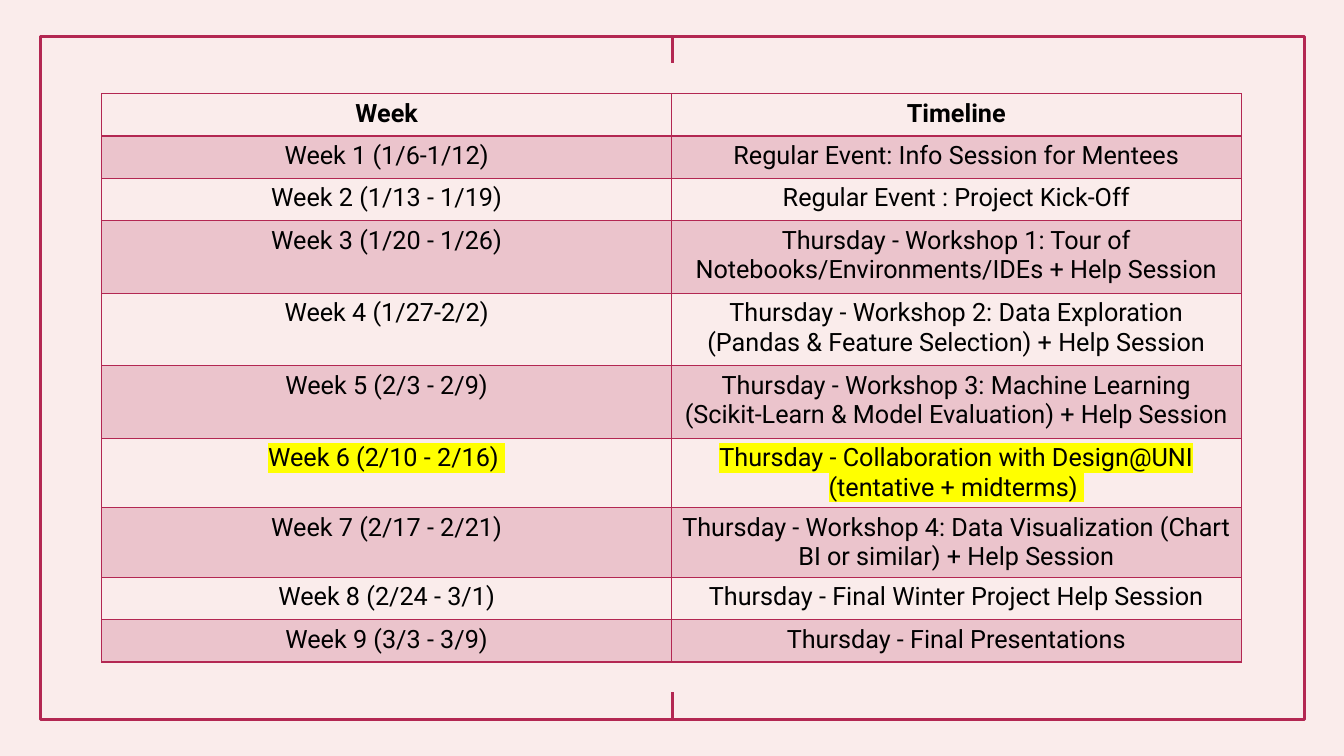
from lxml import etree
from pptx import Presentation
from pptx.dml.color import RGBColor
from pptx.enum import shapes, text
from pptx.oxml import ns
from pptx.util import Inches, Pt

COLORS = {"back": "FAECEB", "accent": "B32752", "text": "000000", "mark": "FFFF00"}
BAND_ALPHA = 20

HEADER = ("Week", "Timeline")
MARKED_ROW = 6
SCHEDULE = [
    # row height, week, event
    (0.42, "Week 1 (1/6-1/12)", "Regular Event: Info Session for Mentees"),
    (0.42, "Week 2 (1/13 - 1/19)", "Regular Event : Project Kick-Off"),
    (0.72, "Week 3 (1/20 - 1/26)",
     "Thursday - Workshop 1: Tour of Notebooks/Environments/IDEs + Help Session"),
    (0.72, "Week 4 (1/27-2/2)",
     "Thursday - Workshop 2: Data Exploration (Pandas & Feature Selection) + Help Session"),
    (0.72, "Week 5 (2/3 - 2/9)",
     "Thursday - Workshop 3: Machine Learning (Scikit-Learn & Model Evaluation) + Help Session"),
    (0.69, "Week 6 (2/10 - 2/16) ",
     "Thursday - Collaboration with Design@UNI (tentative + midterms) "),
    (0.69, "Week 7 (2/17 - 2/21)",
     "Thursday - Workshop 4: Data Visualization (Chart BI or similar) + Help Session"),
    (0.42, "Week 8 (2/24 - 3/1)", "Thursday - Final Winter Project Help Session"),
    (0.42, "Week 9 (3/3 - 3/9)", "Thursday - Final Presentations"),
]


def rgb(name):
    return RGBColor.from_string(COLORS[name])


def add_color(parent, name):
    """Append a solid srgbClr colour to an XML element."""
    fill = etree.SubElement(parent, ns.qn("a:solidFill"))
    etree.SubElement(fill, ns.qn("a:srgbClr"), val=COLORS[name])


def write(tf, words, size=18, font="Roboto", color="text", bold=False, mark=None):
    p = tf.paragraphs[0]
    p.alignment = text.PP_ALIGN.CENTER
    r = p.add_run()
    r.text = words
    r.font.size, r.font.name, r.font.bold = Pt(size), font, bold
    r.font.color.rgb = rgb(color)
    if mark:
        rpr = r.font._element
        highlight = etree.Element(ns.qn("a:highlight"))
        etree.SubElement(highlight, ns.qn("a:srgbClr"), val=COLORS[mark])
        rpr.find(ns.qn("a:latin")).addprevious(highlight)


class Deck:
    """The presentation, its line style and the current slide."""

    line_width = 2.25

    def __init__(self):
        self.prs = Presentation()
        self.prs.slide_width, self.prs.slide_height = Inches(13.33), Inches(7.5)
        self.s = self.prs.slides.add_slide(self.prs.slide_layouts[6])
        self.s.background.fill.solid()
        self.s.background.fill.fore_color.rgb = rgb("back")

    def style_line(self, line):
        line.color.rgb = rgb("accent")
        line.width = Pt(self.line_width)

    def frame(self, left, top, width, height):
        sp = self.s.shapes.add_shape(shapes.MSO_SHAPE.RECTANGLE, Inches(left),
                                     Inches(top), Inches(width), Inches(height))
        sp.shadow.inherit = False
        sp.fill.background()
        self.style_line(sp.line)
        return sp

    def tick(self, frame, site, x, y_from, y_to):
        """Draw a short line inward from a connection site of the frame."""
        cx = self.s.shapes.add_connector(shapes.MSO_CONNECTOR.STRAIGHT, Inches(x),
                                         Inches(y_from), Inches(x), Inches(y_to))
        cx.begin_connect(frame, site)
        self.style_line(cx.line)
        etree.SubElement(cx._element.spPr, ns.qn("a:effectLst"))

    def cell(self, cell, words, band=False, top=1, bottom=1, **fmt):
        write(cell.text_frame, words, **fmt)
        if band:
            cell.fill.solid()
            cell.fill.fore_color.rgb = rgb("accent")
        else:
            cell.fill.background()
        tcpr = cell._tc.get_or_add_tcPr()
        for clr in tcpr.iter(ns.qn("a:srgbClr")):
            etree.SubElement(clr, ns.qn("a:alpha"), val=str(BAND_ALPHA * 1000))
        for i, (side, width) in enumerate(zip("LRTB", (1, 1, top, bottom))):
            ln = etree.Element(ns.qn("a:ln" + side), w=str(Pt(width)))
            add_color(ln, "accent")
            tcpr.insert(i, ln)

    def table(self, left, top, col_width, header, header_height, rows):
        heights = [header_height] + [row[0] for row in rows]
        tbl = self.s.shapes.add_table(
            len(heights), len(header), Inches(left), Inches(top),
            Inches(col_width * len(header)), Inches(sum(heights))).table
        tbl.horz_banding = tbl.first_row = False
        for col in tbl.columns:
            col.width = Inches(col_width)
        for row, height in zip(tbl.rows, heights):
            row.height = Inches(height)
        for c, words in enumerate(header):
            self.cell(tbl.cell(0, c), words, bottom=2, bold=True)
        for i, (_, *entries) in enumerate(rows, 1):
            for c, words in enumerate(entries):
                self.cell(tbl.cell(i, c), words, band=i % 2 == 1,
                          top=2 if i == 1 else 1,
                          mark="mark" if i == MARKED_ROW else None)


def main():
    deck = Deck()
    frame = deck.frame(0.4, 0.36, 12.54, 6.78)
    deck.tick(frame, 2, 6.67, 7.14, 6.87)
    deck.tick(frame, 0, 6.67, 0.36, 0.63)
    deck.table(1.01, 0.93, 5.65, HEADER, 0.42, SCHEDULE)
    deck.prs.save("out.pptx")


if __name__ == "__main__":
    main()
